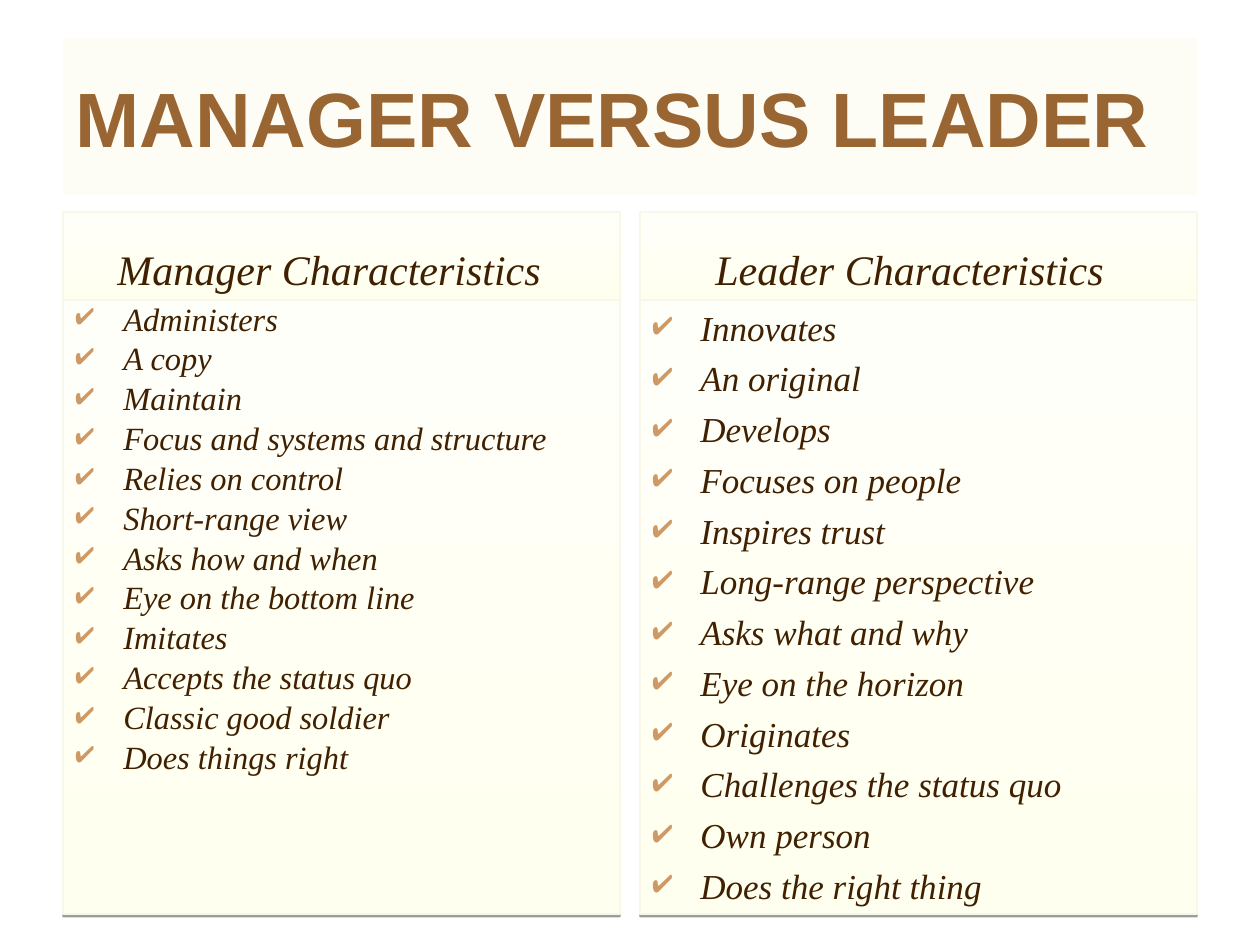
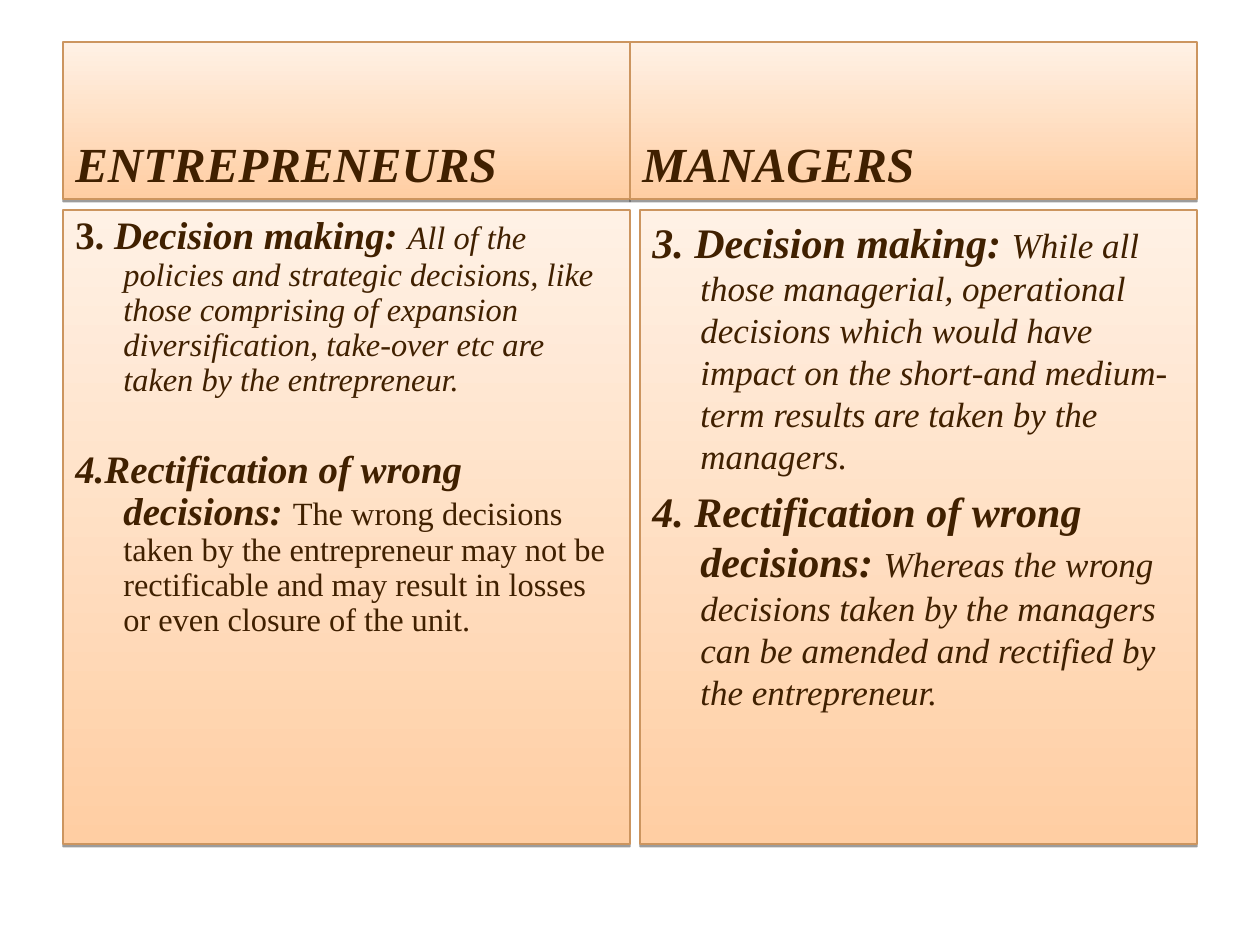
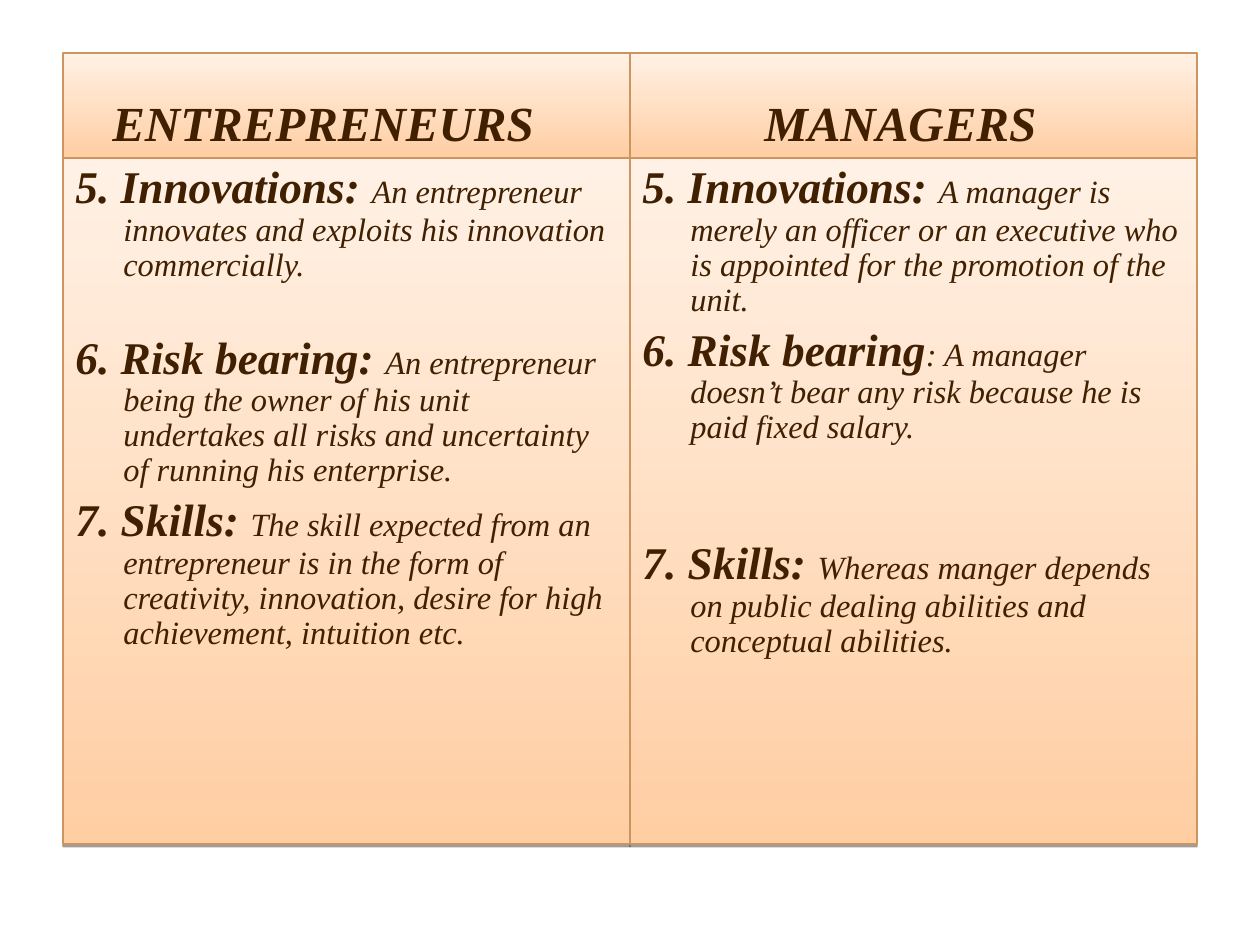
from lxml import etree
from pptx import Presentation
from pptx import util as u
from pptx.dml.color import RGBColor
from pptx.enum import shapes, text
from pptx.oxml.ns import qn

COLORS = {
    "title": "996633", "title_band": "FEFDF5", "ink": "402000", "check": "CE9964",
    "cream_low": "FFFFEF", "cream_high": "FFFFFA", "cream_edge": "F8F7E8",
    "peach_low": "FFCEA3", "peach_high": "FFF1E5", "peach_edge": "CC955F",
    "shadow": "000000",
}
SERIF, SANS = "Times New Roman", "Arial"
PAGE_W, PAGE_H, MARGIN, HANGING = 1260, 945, 63, 48
RIGHT_EDGE = PAGE_W - MARGIN
GAP_BEFORE, SKIPPED_LINE = 5, 24.5

TITLE = "MANAGER VERSUS LEADER"
STYLES = {
    "number": {"bold": True, "italic": False},
    "lead": {"bold": True, "italic": True},
    "item": {"bold": False, "italic": True},
    "plain": {"bold": False, "italic": False},
}

SLIDES = [
    {"title": TITLE, "theme": "cream", "top": 212, "split": 300, "bottom": 914,
     "header": {"size": 24, "style": "item", "before": 6},
     "columns": [
         {"header": "Manager Characteristics", "indent": 42, "header_span": (63, 557),
          "body_span": (63, 557), "sizes": {"item": 18.5}, "spacing": 0.8, "checked": True,
          "items": ["Administers", "A copy", "Maintain", "Focus and systems and structure",
                    "Relies on control", "Short-range view", "Asks how and when",
                    "Eye on the bottom line", "Imitates", "Accepts the status quo",
                    "Classic good soldier", "Does things right"]},
         {"header": "Leader Characteristics", "indent": 63, "header_span": (640, 557),
          "body_span": (640, 557), "sizes": {"item": 20}, "spacing": 1.0, "checked": True,
          "items": ["Innovates", "An original", "Develops", "Focuses on people",
                    "Inspires trust", "Long-range perspective", "Asks what and why",
                    "Eye on the horizon", "Originates", "Challenges the status quo",
                    "Own person", "Does the right thing"]},
     ]},
    {"theme": "peach", "top": 42, "header_bottom": 199, "split": 210, "bottom": 844,
     "header": {"size": 28, "style": "lead", "before": 7},
     "columns": [
         {"header": "ENTREPRENEURS", "indent": 0, "header_span": (63, 567),
          "body_span": (63, 567), "spacing": 0.9,
          "sizes": {"number": 22.2, "lead": 22.2, "item": 18.5, "plain": 18.5},
          "skips": {1: 1},
          "items": [
              [("3. ", "number"), ("Decision making: ", "lead"),
               ("All of the policies and strategic decisions, like those comprising of "
                "expansion diversification, take-over etc are taken by the entrepreneur.", "item")],
              [("4.Rectification of wrong decisions: ", "lead"),
               ("The wrong decisions taken by the entrepreneur may not be rectificable and "
                "may result in losses or even closure of the unit.", "plain")]]},
         {"header": "MANAGERS", "indent": 0, "header_span": (630, 567),
          "body_span": (640, 557), "spacing": 1.0, "sizes": {"lead": 24, "item": 20},
          "items": [
              [("3. Decision making: ", "lead"),
               ("While all those managerial, operational decisions which would have impact on "
                "the short-and medium-term results are taken by the managers.", "item")],
              [("4. Rectification of wrong decisions: ", "lead"),
               ("Whereas the wrong decisions taken by the managers can be amended and "
                "rectified by the entrepreneur.", "item")]]},
     ]},
    {"theme": "peach", "top": 53, "split": 158, "bottom": 844,
     "header": {"size": 28, "style": "lead", "before": 7},
     "columns": [
         {"header": "ENTREPRENEURS", "indent": 37, "header_span": (63, 567),
          "body_span": (63, 567), "spacing": 0.9, "sizes": {"lead": 25.9, "item": 18.5},
          "skips": {1: 1},
          "items": [
              [("5. Innovations: ", "lead"),
               ("An entrepreneur innovates and exploits his innovation commercially.", "item")],
              [("6. Risk bearing: ", "lead"),
               ("An entrepreneur being the owner of his unit undertakes all risks and "
                "uncertainty of running his enterprise.", "item")],
              [("7. Skills: ", "lead"),
               ("The skill expected from an entrepreneur is in the form of creativity, "
                "innovation, desire for high achievement, intuition etc.", "item")]]},
         {"header": "MANAGERS", "indent": 122, "header_span": (630, 567),
          "body_span": (630, 567), "spacing": 0.9, "sizes": {"lead": 25.9, "item": 18.5},
          "skips": {2: 2},
          "items": [
              [("5. Innovations: ", "lead"),
               ("A manager is merely an officer or an executive who is appointed for the "
                "promotion of the unit.", "item")],
              [("6. Risk bearing", "lead"),
               (": A manager doesn’t bear any risk because he is paid fixed salary.", "item")],
              [("7. Skills: ", "lead"),
               ("Whereas manger depends on public dealing abilities and conceptual "
                "abilities.", "item")]]},
     ]},
]


def px(length):
    return u.Emu(round(length * 914400 / 126))


def color(name):
    return RGBColor.from_string(COLORS[name])


def apply(target, values):
    for name, value in values.items():
        setattr(target, name, value)


def child(parent, tag, **attributes):
    node = etree.SubElement(parent, qn(tag))
    for name, value in attributes.items():
        node.set(name, str(value))
    return node


def add_box(page, left, top, width, height, anchor):
    box = page.shapes.add_shape(shapes.MSO_SHAPE.RECTANGLE,
                                *map(px, (left, top, width, height)))
    box.shadow.inherit = False
    apply(box.text_frame, {"word_wrap": True, "vertical_anchor": anchor,
                           "margin_left": u.Inches(0.1), "margin_right": u.Inches(0.1),
                           "margin_top": u.Inches(0.05), "margin_bottom": u.Inches(0.05)})
    return box


def add_panel(page, theme, span, top, bottom, anchor):
    left, width = span
    box = add_box(page, left, top, width, bottom - top, anchor)
    box.fill.gradient()
    box.fill.gradient_angle = 90
    for stop, (tone, position) in zip(box.fill.gradient_stops, (("low", 0), ("high", 1))):
        stop.color.rgb = color(f"{theme}_{tone}")
        stop.position = position
    box.line.color.rgb = color(f"{theme}_edge")
    box.line.width = u.Pt(0.75)
    effects = box._element.spPr.find(qn("a:effectLst"))
    shadow = child(effects, "a:outerShdw", blurRad=0, dist=u.Pt(1.6), dir=5400000,
                   algn="ctr", rotWithShape=0)
    child(child(shadow, "a:srgbClr", val=COLORS["shadow"]), "a:alpha", val=38000)
    return box


def write(para, spans, sizes, font=SERIF, ink="ink"):
    para.alignment = text.PP_ALIGN.LEFT
    for words, style in spans:
        span = para.add_run()
        span.text = words
        apply(span.font, {"name": font, "size": u.Pt(sizes[style]), **STYLES[style]})
        span.font.color.rgb = color(ink)


def indent(para, left, first=0):
    properties = para._p.get_or_add_pPr()
    properties.set("marL", str(px(left)))
    properties.set("indent", str(px(first)))
    return properties


def add_check(properties):
    child(child(properties, "a:buClr"), "a:srgbClr", val=COLORS["check"])
    child(properties, "a:buSzPct", val=89000)
    child(properties, "a:buChar", char="✔")


def add_title(page, words):
    box = add_box(page, MARGIN, 38, RIGHT_EDGE - MARGIN, 157, text.MSO_ANCHOR.MIDDLE)
    box.fill.solid()
    box.fill.fore_color.rgb = color("title_band")
    box.line.fill.background()
    write(box.text_frame.paragraphs[0], [(words, "number")], {"number": 44}, SANS, "title")


def add_header(page, slide, column):
    header = slide["header"]
    box = add_panel(page, slide["theme"], column["header_span"], slide["top"],
                    slide.get("header_bottom", slide["split"]), text.MSO_ANCHOR.BOTTOM)
    para = box.text_frame.paragraphs[0]
    para.space_before = u.Pt(header["before"])
    indent(para, column["indent"])
    write(para, [(column["header"], header["style"])], {header["style"]: header["size"]})


def add_body(page, slide, column):
    box = add_panel(page, slide["theme"], column["body_span"], slide["split"],
                    slide["bottom"], text.MSO_ANCHOR.TOP)
    frame = box.text_frame
    for index, item in enumerate(column["items"]):
        para = frame.add_paragraph() if index else frame.paragraphs[0]
        skipped = column.get("skips", {}).get(index, 0)
        apply(para, {"line_spacing": column["spacing"],
                     "space_before": u.Pt(GAP_BEFORE + skipped * SKIPPED_LINE)})
        properties = indent(para, HANGING, -HANGING)
        if column.get("checked"):
            add_check(properties)
        write(para, [(item, "item")] if isinstance(item, str) else item, column["sizes"])


def main():
    deck = Presentation()
    deck.slide_width, deck.slide_height = px(PAGE_W), px(PAGE_H)
    for slide in SLIDES:
        page = deck.slides.add_slide(deck.slide_layouts[6])
        if "title" in slide:
            add_title(page, slide["title"])
        for column in slide["columns"]:
            add_header(page, slide, column)
            add_body(page, slide, column)
    deck.save("out.pptx")


if __name__ == "__main__":
    main()
